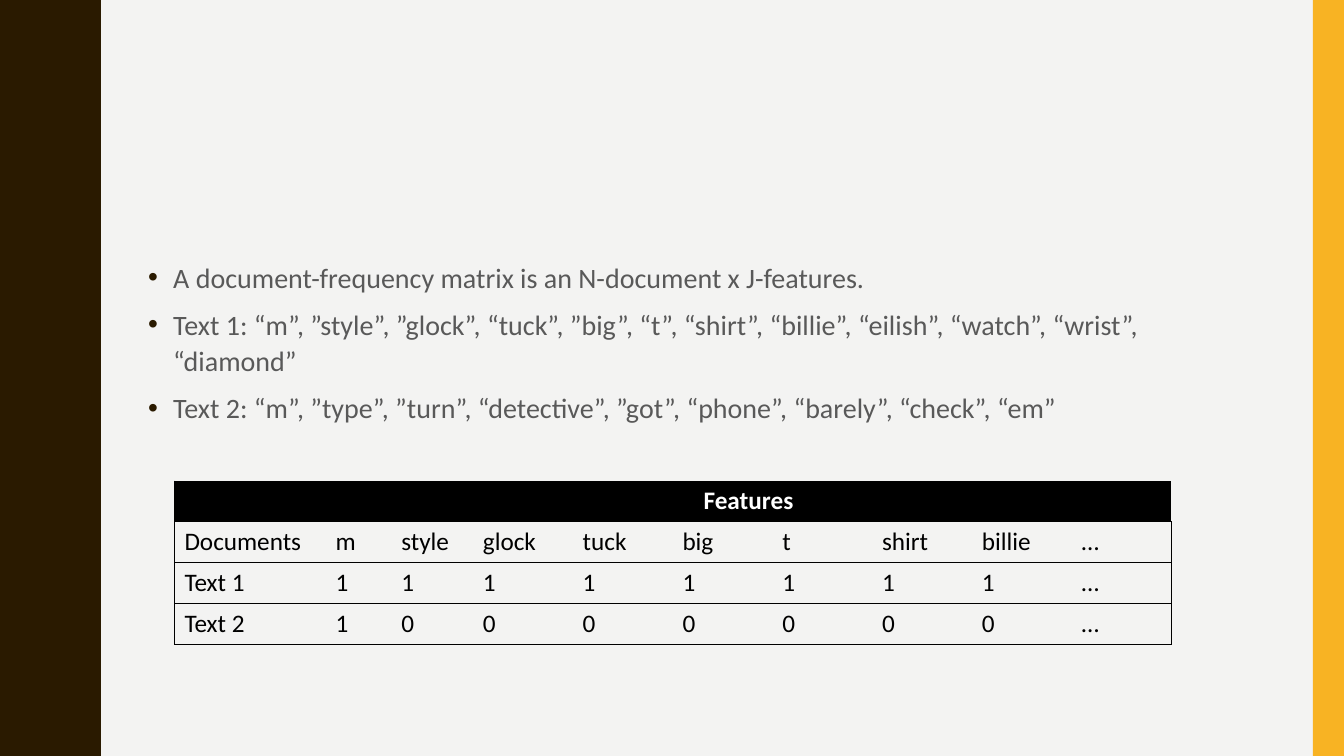
from lxml import etree
from pptx import Presentation
from pptx.dml.color import RGBColor
from pptx.enum.shapes import MSO_SHAPE
from pptx.enum.text import PP_ALIGN
from pptx.oxml.ns import qn
from pptx.util import Inches, Pt

RECT = MSO_SHAPE.RECTANGLE
CENTER, LEFT = PP_ALIGN.CENTER, PP_ALIGN.LEFT

COLORS = {
    "back": "F3F3F2",
    "brown": "2A1A00",
    "gold": "F8B323",
    "grey": "595959",
    "black": "000000",
    "white": "FFFFFF",
}
WIDTH, HEIGHT = 13.33, 7.5

# Half of one wave, as (x, y); the other half mirrors it.
PERIOD = 1.5
CURVE = [
    (0.78, 0), (0.78, 0.07), (0.79, 0.14), (0.8, 0.2), (0.81, 0.25),
    (0.83, 0.29), (0.85, 0.33), (0.87, 0.38), (0.89, 0.42), (0.91, 0.46),
    (0.93, 0.5), (0.95, 0.55), (0.96, 0.61), (0.97, 0.68), (0.97, 0.75),
]

BULLETS = [
    "A document-frequency matrix is an N-document x J-features.",
    "Text 1: “m”, ”style”, ”glock”, “tuck”, ”big”, “t”, “shirt”, “billie”, "
    "“eilish”, “watch”, “wrist”, “diamond”",
    "Text 2: “m”, ”type”, ”turn”, “detective”, ”got”, “phone”, “barely”, "
    "“check”, “em”",
]
ROWS = [
    ["", "Features"] + [""] * 8,
    ["Documents", "m", "style", "glock", "tuck", "big", "t", "shirt",
     "billie", "…"],
    ["Text 1"] + ["1"] * 8 + ["…"],
    ["Text 2", "1"] + ["0"] * 7 + ["…"],
]
COLS = [1.5, 0.65, 0.81] + [0.99] * 7


def color(name):
    return RGBColor.from_string(COLORS[name])


def assign(target, values):
    for name, value in values.items():
        setattr(target, name, value)


def add_hex(parent, name):
    """Put a colour element under a fill or bullet element."""
    etree.SubElement(parent, qn("a:srgbClr"), val=COLORS[name])


class Deck:
    def __init__(self, font):
        self.font = font
        self.prs = Presentation()
        assign(self.prs, {"slide_width": Inches(WIDTH),
                          "slide_height": Inches(HEIGHT)})
        self.slide = self.prs.slides.add_slide(self.prs.slide_layouts[6])
        self.paint(self.slide.background.fill, "back")

    def paint(self, fill, name):
        fill.solid()
        fill.fore_color.rgb = color(name)

    def plain(self, shape, name):
        """Give a shape a flat fill, no line and no shadow."""
        self.paint(shape.fill, name)
        shape.line.fill.background()
        shape.shadow.inherit = False

    def band(self, box, name):
        shape = self.slide.shapes.add_shape(RECT, *map(Inches, box))
        self.plain(shape, name)

    def wave(self, name):
        edge = CURVE + [(x, PERIOD - y) for x, y in CURVE[-2:0:-1]]
        points = [(x, y + turn * PERIOD)
                  for turn in range(int(HEIGHT / PERIOD)) for x, y in edge]
        points += [(CURVE[0][0], HEIGHT), (0, HEIGHT)]
        build = self.slide.shapes.build_freeform(0, 0, scale=Inches(1))
        build.add_line_segments(points, close=True)
        self.plain(build.convert_to_shape(), name)

    def add_text(self, para, text, size, name, bold=False):
        run = para.add_run()
        run.text = text
        assign(run.font, {"name": self.font, "size": Pt(size), "bold": bold})
        run.font.color.rgb = color(name)

    def bullets(self, box, lines):
        frame = self.slide.shapes.add_textbox(*map(Inches, box)).text_frame
        frame.word_wrap = True
        for index, line in enumerate(lines):
            para = frame.add_paragraph() if index else frame.paragraphs[0]
            assign(para, {"line_spacing": 1.1, "space_before": Pt(7)})
            self.add_text(para, line, 20, "grey")
            props = para._p.get_or_add_pPr()
            props.set("marL", str(Inches(0.25)))
            props.set("indent", str(Inches(-0.25)))
            add_hex(etree.SubElement(props, qn("a:buClr")), "brown")
            etree.SubElement(props, qn("a:buFont"), typeface="Arial")
            etree.SubElement(props, qn("a:buChar"), char="•")

    def borders(self, cell, shown):
        """Draw the named sides in black and clear the others."""
        props = cell._tc.get_or_add_tcPr()
        for index, side in enumerate("LRTB"):
            line = etree.Element(qn("a:ln" + side), w=str(Pt(0.5)))
            if side in shown:
                add_hex(etree.SubElement(line, qn("a:solidFill")), "black")
            else:
                etree.SubElement(line, qn("a:noFill"))
            props.insert(index, line)

    def table(self, box, rows, widths):
        frame = self.slide.shapes.add_table(
            len(rows), len(widths), *map(Inches, box))
        table = frame.table
        assign(table, {"first_row": False, "horz_banding": False})
        for col, width in zip(table.columns, widths):
            col.width = Inches(width)
        last = len(widths) - 1
        for r, values in enumerate(rows):
            table.rows[r].height = Inches(box[3] / len(rows))
            head = r == 0
            for c, text in enumerate(values):
                cell = table.cell(r, c)
                if head:
                    self.paint(cell.fill, "black")
                else:
                    cell.fill.background()
                ends = ("L" if c == 0 else "") + ("R" if c == last else "")
                self.borders(cell, "TB" + ends)
                para = cell.text_frame.paragraphs[0]
                para.alignment = CENTER if head else LEFT
                para.font.size = Pt(18)
                if text:
                    self.add_text(para, text, 18,
                                  "white" if head else "black", head)
        table.cell(0, 1).merge(table.cell(0, last))


def main():
    deck = Deck("Calibri")
    deck.wave("brown")
    deck.band((13.02, 0, 0.31, HEIGHT), "gold")
    deck.bullets((1.37, 2.5, 11.13, 3.93), BULLETS)
    deck.table((1.73, 4.77, sum(COLS), 1.62), ROWS, COLS)
    deck.prs.save("out.pptx")


if __name__ == "__main__":
    main()
